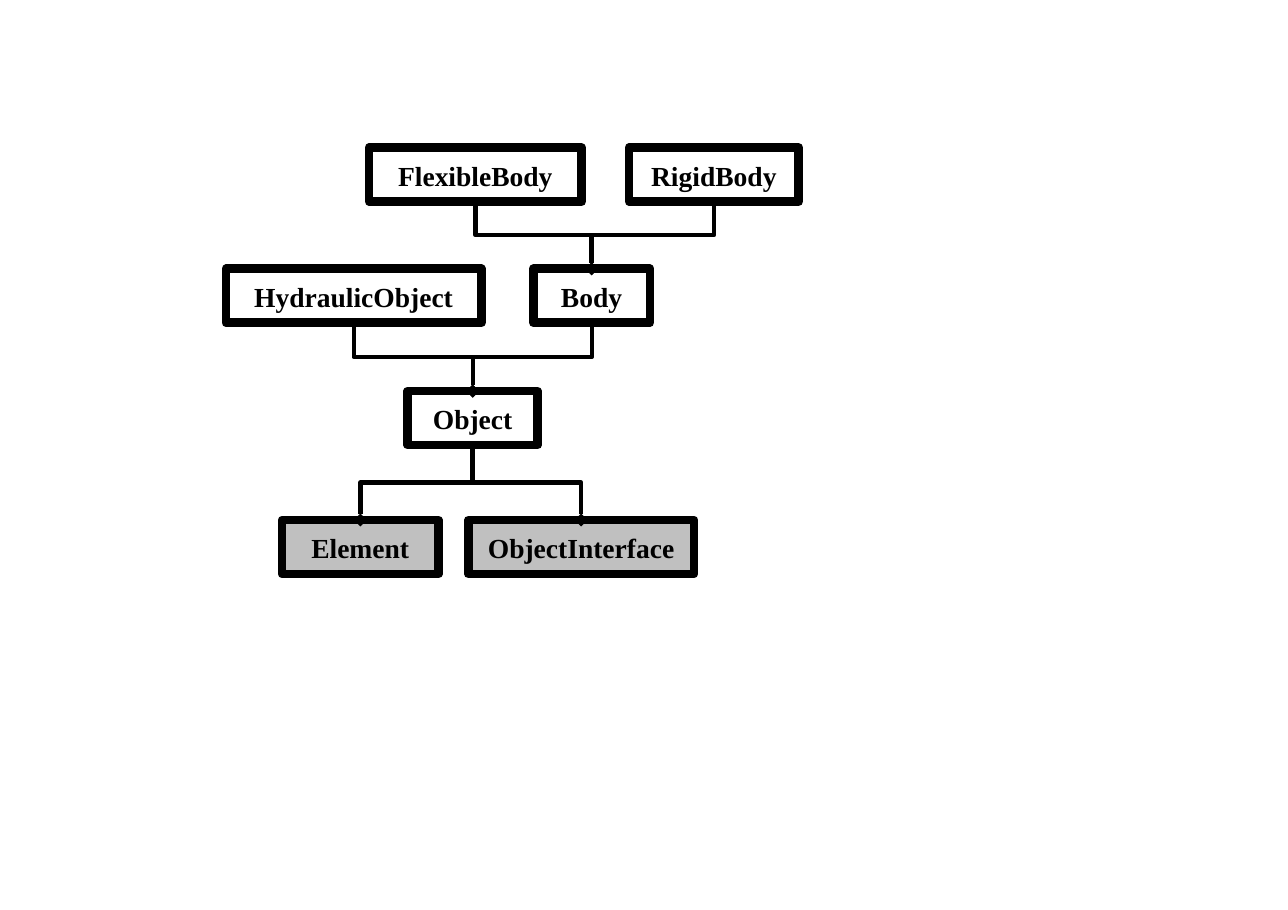
from dataclasses import dataclass

from lxml.etree import SubElement
from pptx import Presentation
from pptx.dml.color import RGBColor
from pptx.enum.shapes import MSO_CONNECTOR as Wire, MSO_SHAPE as Form
from pptx.enum.text import MSO_ANCHOR as Anchor, MSO_AUTO_SIZE as Fit, PP_ALIGN as Align
from pptx.oxml.ns import qn
from pptx.shapes.autoshape import Shape
from pptx.shapes.connector import Connector
from pptx.shapes.shapetree import SlideShapes
from pptx.util import Inches, Pt

BLACK = "000000"
GREY = "C0C0C0"
HIGH = 0.49
ROWS = (1.34, 2.44, 3.55, 4.72)


@dataclass(frozen=True)
class Box:
    name: str
    left: float
    row: int
    width: float
    fill: str | None = None


@dataclass(frozen=True)
class Link:
    child: str
    parent: str


BOXES = (
    Box("FlexibleBody", 3.35, 0, 1.93),
    Box("RigidBody", 5.71, 0, 1.54),
    Box("HydraulicObject", 2.05, 1, 2.32),
    Box("Body", 4.84, 1, 1.06),
    Box("Object", 3.7, 2, 1.18),
    Box("Element", 2.56, 3, 1.42, GREY),
    Box("ObjectInterface", 4.25, 3, 2.05, GREY),
)
LINKS = (
    Link("Body", "FlexibleBody"),
    Link("Body", "RigidBody"),
    Link("Object", "HydraulicObject"),
    Link("Object", "Body"),
    Link("Element", "Object"),
    Link("ObjectInterface", "Object"),
)


def color(code: str) -> RGBColor:
    return RGBColor.from_string(code)


def stroke(item: Shape | Connector, width: float) -> None:
    item.line.color.rgb = color(BLACK)
    item.line.width = Pt(width)


def draw_box(shapes: SlideShapes, box: Box) -> Shape:
    shape = shapes.add_shape(
        Form.RECTANGLE, Inches(box.left), Inches(ROWS[box.row]),
        Inches(box.width), Inches(HIGH),
    )
    shape.shadow.inherit = False
    stroke(shape, 5.67)
    if box.fill:
        shape.fill.solid()
        shape.fill.fore_color.rgb = color(box.fill)
    else:
        shape.fill.background()

    frame = shape.text_frame
    frame.word_wrap = True
    frame.auto_size = Fit.SHAPE_TO_FIT_TEXT
    frame.vertical_anchor = Anchor.TOP
    frame.margin_left = frame.margin_right = Inches(0.17)
    frame.margin_top = frame.margin_bottom = Inches(0.1)
    para = frame.paragraphs[0]
    para.alignment = Align.CENTER
    para.space_before = Pt(6.9 if box.row else 6.2)
    run = para.add_run()
    run.text = box.name
    run.font.name = "Times New Roman"
    run.font.size = Pt(18)
    run.font.bold = True
    run.font.color.rgb = color(BLACK)
    return shape


def draw_link(shapes: SlideShapes, child: Shape, parent: Shape) -> None:
    start = child.left + child.width // 2
    end = parent.left + parent.width // 2
    low, high = child.top, parent.top + parent.height
    wire = shapes.add_connector(Wire.ELBOW, start, low, end, high)
    wire.begin_connect(child, 0)
    wire.end_connect(parent, 2)

    rise, span = low - high, abs(end - start)
    wire.left = (start + end - rise) // 2
    wire.top = (low + high - span) // 2
    wire.width, wire.height = rise, span
    right = end > start
    props = wire._element.spPr
    frame = props.find(qn("a:xfrm"))
    frame.set("rot", str((90 if right else 270) * 60000))
    frame.set("flipH", "1" if right else "0")
    frame.set("flipV", "1")

    stroke(wire, 2.83)
    SubElement(props.find(qn("a:ln")), qn("a:headEnd"), type="diamond")
    SubElement(props, qn("a:effectLst"))


def main() -> None:
    deck = Presentation()
    deck.slide_width = Inches(11.69)
    deck.slide_height = Inches(8.26)
    shapes = deck.slides.add_slide(deck.slide_layouts[6]).shapes
    drawn = {box.name: draw_box(shapes, box) for box in BOXES}
    for link in LINKS:
        draw_link(shapes, drawn[link.child], drawn[link.parent])
    deck.save("out.pptx")


if __name__ == "__main__":
    main()
